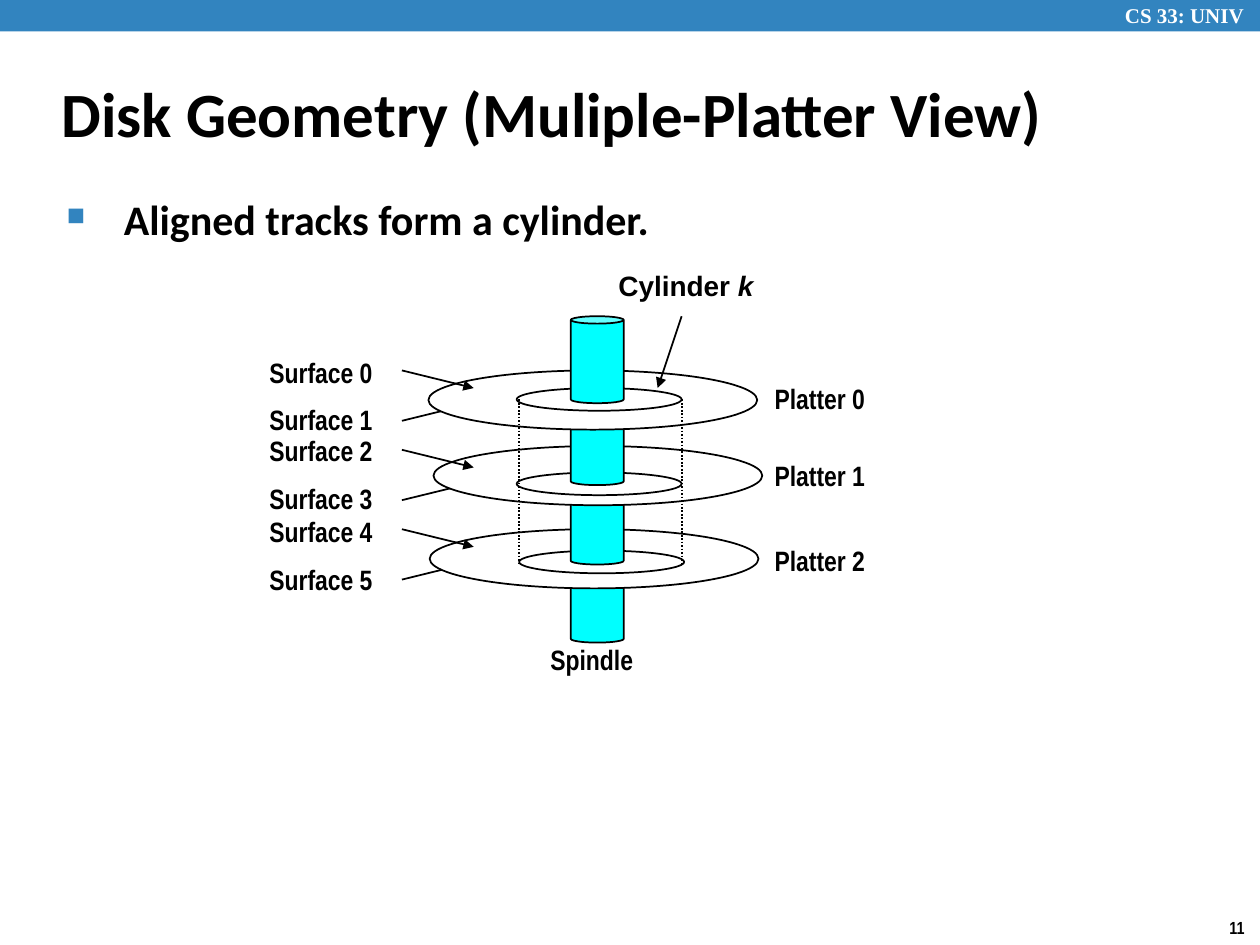
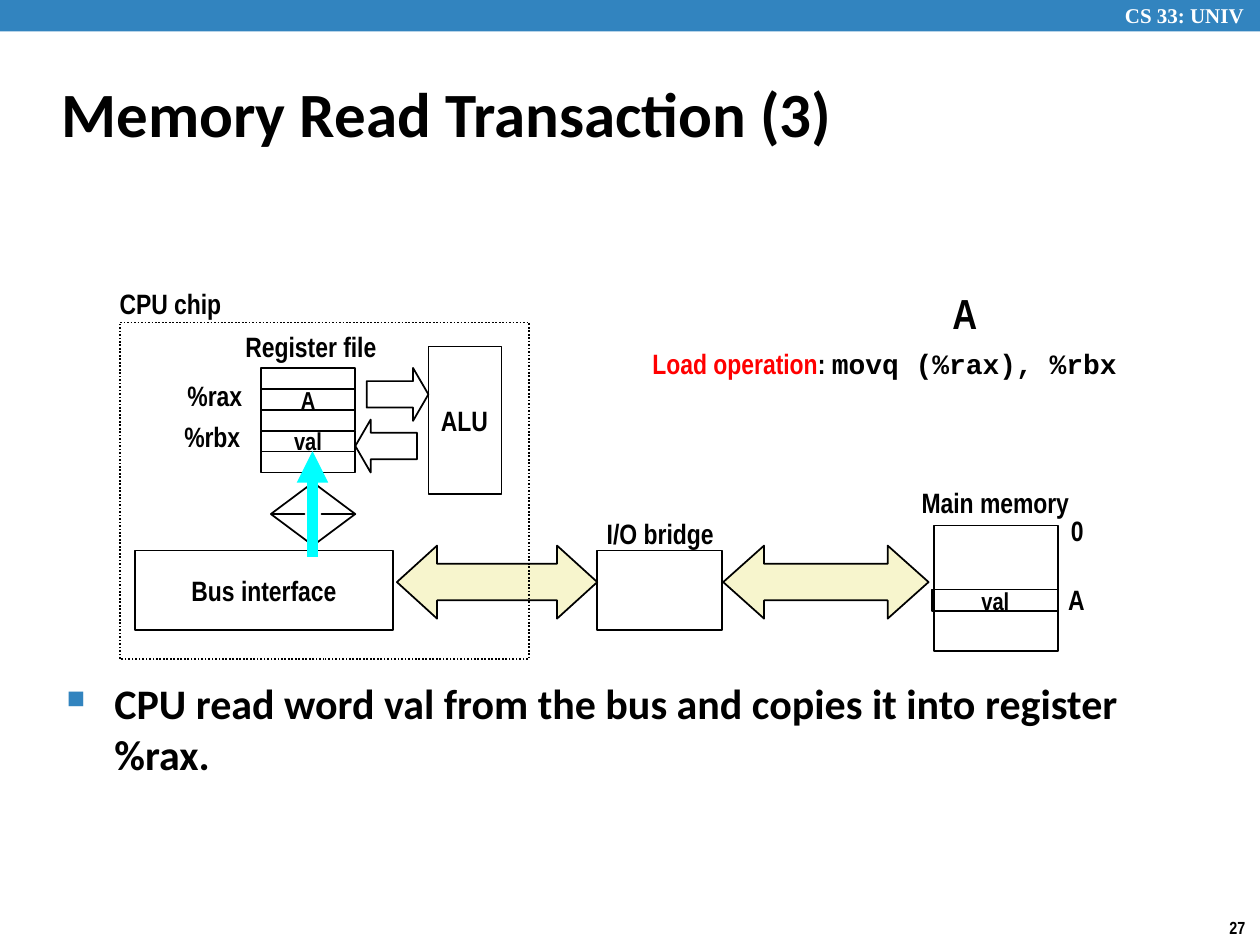
from lxml.etree import SubElement
from pptx import Presentation
from pptx.dml.color import RGBColor
from pptx.enum.dml import MSO_LINE
from pptx.enum.shapes import MSO_CONNECTOR, MSO_SHAPE
from pptx.enum.text import MSO_ANCHOR, MSO_AUTO_SIZE, PP_ALIGN
from pptx.oxml.ns import qn
from pptx.util import Inches, Pt

BLACK = RGBColor(0x00, 0x00, 0x00)
WHITE = RGBColor(0xFF, 0xFF, 0xFF)
BLUE = RGBColor(0x32, 0x84, 0xBF)
CYAN = RGBColor(0x00, 0xFF, 0xFF)
CREAM = RGBColor(0xF7, 0xF5, 0xCD)
RED = RGBColor(0xFF, 0x00, 0x00)

RECTANGLE, ELLIPSE, CAN = MSO_SHAPE.RECTANGLE, MSO_SHAPE.OVAL, MSO_SHAPE.CAN
RIGHT_ARROW, LEFT_ARROW = MSO_SHAPE.RIGHT_ARROW, MSO_SHAPE.LEFT_ARROW
BOTH_WAYS, UP_DOWN = MSO_SHAPE.LEFT_RIGHT_ARROW, MSO_SHAPE.UP_DOWN_ARROW
TOP, MIDDLE = MSO_ANCHOR.TOP, MSO_ANCHOR.MIDDLE
LEFT, CENTER = PP_ALIGN.LEFT, PP_ALIGN.CENTER
DOTTED = MSO_LINE.ROUND_DOT

presentation = Presentation()
presentation.slide_width = Inches(10)
presentation.slide_height = Inches(7.5)

# The slide is a grid of 100 columns and 75 rows.
COLUMN = presentation.slide_width // 100
ROW = presentation.slide_height // 75
LABEL_HEIGHT = 3.7


def add_item(slide, left, top, width, height, text="", kind=None, fill=None,
             outline=BLACK, dash=None, adjust=(), font="Arial Narrow", size=16,
             color=BLACK, align=LEFT, anchor=MIDDLE, wrap=False, grow=True,
             indent=0, bullet=False):
    """Add a text box, or a preset shape if kind is given.

    Text is a string or a list of (string, font changes) runs.
    """
    box = (round(left * COLUMN), round(top * ROW),
           round(width * COLUMN), round(height * ROW))
    if kind is None:
        shape = slide.shapes.add_textbox(*box)
    else:
        shape = slide.shapes.add_shape(kind, *box)
        shape.shadow.inherit = False
        for position, value in enumerate(adjust):
            shape.adjustments[position] = value
        if fill is None:
            shape.fill.background()
        else:
            shape.fill.solid()
            shape.fill.fore_color.rgb = fill
        if outline is None:
            shape.line.fill.background()
        else:
            shape.line.color.rgb = outline
            shape.line.width = Pt(1)
            shape.line.dash_style = dash
    if not text:
        return

    frame = shape.text_frame
    frame.word_wrap = wrap
    frame.vertical_anchor = anchor
    if kind is None and grow:
        frame.auto_size = MSO_AUTO_SIZE.SHAPE_TO_FIT_TEXT
    paragraph = frame.paragraphs[0]
    paragraph.alignment = align
    for words, changes in [(text, {})] if isinstance(text, str) else text:
        run = paragraph.add_run()
        run.text = words
        run.font.name = changes.get("font", font)
        run.font.size = Pt(size)
        run.font.bold = True
        run.font.italic = changes.get("italic", False)
        run.font.color.rgb = changes.get("color", color)
    if indent:
        properties = paragraph._p.get_or_add_pPr()
        properties.set("marL", str(round(indent * COLUMN)))
        properties.set("indent", str(round(-indent * COLUMN)))
        if bullet:
            paragraph.space_before = Pt(0.2 * size)
            bullet_color = SubElement(properties, qn("a:buClr"))
            SubElement(bullet_color, qn("a:srgbClr"), val=str(BLUE))
            SubElement(properties, qn("a:buSzPct"), val="60000")
            SubElement(properties, qn("a:buChar"), char="■")


def add_line(slide, start, end, color=BLACK, width=1, dash=None, arrow=True):
    connector = slide.shapes.add_connector(
        MSO_CONNECTOR.STRAIGHT,
        round(start[0] * COLUMN), round(start[1] * ROW),
        round(end[0] * COLUMN), round(end[1] * ROW))
    connector.line.color.rgb = color
    connector.line.width = Pt(width)
    connector.line.dash_style = dash
    properties = connector._element.spPr
    if arrow:
        SubElement(properties.find(qn("a:ln")), qn("a:tailEnd"), type="triangle")
    SubElement(properties, qn("a:effectLst"))


# Band, course name, slide number, title and bullet of every slide
slides = []
for number, title, bullet_text, bullet_top in [
    ("11", "Disk Geometry (Muliple-Platter View)",
     " Aligned tracks form a cylinder.", 14.9),
    ("27", "Memory Read Transaction (3)",
     "CPU read word val from the bus and copies it into register %rax.", 53.3),
]:
    slide = presentation.slides.add_slide(presentation.slide_layouts[6])
    slides.append(slide)
    add_item(slide, 0, 0, 100, 2.5, kind=RECTANGLE, fill=BLUE, outline=None)
    add_item(slide, 88.3, -0.3, 12.4, 3, "CS 33: UNIV", font="Times New Roman",
             size=12, color=WHITE, anchor=TOP, wrap=True)
    add_item(slide, 96.6, 72.3, 3.4, 2.7, number, size=10, anchor=TOP)
    add_item(slide, 3.9, 4.8, 83, 8.3, title, font="Calibri", size=36,
             wrap=True, grow=False, indent=1.3)
    add_item(slide, 4.3, bullet_top, 86.4, 69.3 - bullet_top, bullet_text,
             font="Calibri", size=24, anchor=TOP, wrap=True, grow=False,
             indent=3.8, bullet=True)
disk_slide, memory_slide = slides

# Disk: platters are stacked from the bottom up, each over a piece of spindle
SPINDLE = {"kind": CAN, "fill": CYAN, "adjust": [0.14]}
ARROW_START, ARROW_END = 31.9, 37.6
for index, platter_left, platter_top, track_left, track_top, spindle_top, \
        upper_label, lower_label, platter_label in [
            (2, 34.1, 42.0, 41.2, 43.7, 44.1, 40.3, 44.1, 42.6),
            (1, 34.4, 35.4, 41.0, 37.5, 37.9, 33.9, 37.7, 35.9),
            (0, 34.0, 29.4, 41.0, 30.8, 31.6, 27.7, 31.4, 29.8)]:
    upper_arrow = 29.4 + 6.3 * index
    lower_arrow = upper_arrow + 4
    add_item(disk_slide, 45.3, spindle_top, 4.2, 6.9, **SPINDLE)
    add_line(disk_slide, (ARROW_START, lower_arrow), (ARROW_END, lower_arrow - 1.4))
    add_item(disk_slide, platter_left, platter_top, 26.1, 4.7, kind=ELLIPSE, fill=WHITE)
    add_item(disk_slide, track_left, track_top, 13.1, 1.8, kind=ELLIPSE)
    add_line(disk_slide, (ARROW_START, upper_arrow), (ARROW_END, upper_arrow + 1.4))
    for surface, label_top in enumerate((upper_label, lower_label), 2 * index):
        add_item(disk_slide, 20.4, label_top, 10.3, LABEL_HEIGHT, f"Surface {surface}")
    add_item(disk_slide, 60.5, platter_label, 9.3, LABEL_HEIGHT, f"Platter {index}")
add_item(disk_slide, 45.3, 25.1, 4.2, 6.9, **SPINDLE)

for cylinder_side in (41.2, 54.1):
    add_line(disk_slide, (cylinder_side, 31.7), (cylinder_side, 44.8),
             dash=DOTTED, arrow=False)
add_item(disk_slide, 48.1, 20.8, 13, LABEL_HEIGHT,
         [("Cylinder ", {}), ("k", {"italic": True})], font="Arial")
add_line(disk_slide, (54.1, 25.1), (52.2, 30.8))
add_item(disk_slide, 42.7, 50.5, 8.7, LABEL_HEIGHT, "Spindle")

# Memory read: buses and bridge
add_item(memory_slide, 57.4, 43.3, 16.3, 5.8, kind=BOTH_WAYS, fill=CREAM, adjust=[0.5, 0.56])
add_item(memory_slide, 47.4, 43.7, 9.9, 6.3, kind=RECTANGLE)
add_item(memory_slide, 31.5, 43.3, 15.9, 5.8, kind=BOTH_WAYS, fill=CREAM, adjust=[0.5, 0.55])

# CPU chip
REGISTER_HEIGHT = 1.66
for index, value in enumerate(["", "A", "", "val", ""]):
    add_item(memory_slide, 20.7, 29.2 + index * REGISTER_HEIGHT, 7.5,
             REGISTER_HEIGHT, value, kind=RECTANGLE, size=14, align=CENTER)
for kind, left, top in [(RIGHT_ARROW, 29.1, 29.2), (LEFT_ARROW, 28.2, 33.3)]:
    add_item(memory_slide, left, top, 4.9, 4.2, kind=kind, adjust=[0.5, 0.29])
add_item(memory_slide, 34, 27.5, 5.8, 11.7, "ALU", kind=RECTANGLE)
add_item(memory_slide, 21.5, 38.3, 6.7, 5, kind=UP_DOWN, adjust=[0.5, 0.2])
add_item(memory_slide, 10.7, 43.7, 20.5, 6.3, "Bus interface", kind=RECTANGLE,
         fill=WHITE, align=CENTER)
add_line(memory_slide, (24.8, 44.2), (24.8, 35.8), color=CYAN, width=6)
add_item(memory_slide, 9.5, 25.6, 32.5, 26.7, kind=RECTANGLE, dash=DOTTED)

# Main memory
add_item(memory_slide, 74.1, 41.7, 9.9, 10, kind=RECTANGLE)
add_item(memory_slide, 74, 46.8, 10, 1.7, "val", kind=RECTANGLE, size=14, align=CENTER)
add_item(memory_slide, 70.8, 38, 16.4, LABEL_HEIGHT, "Main memory", align=CENTER, wrap=True)

for text, left, top, width, align in [
    ("Register file", 18.5, 25.6, 12.6, LEFT),
    ("CPU chip", 8.5, 22.2, 11.9, LEFT),
    ("%rax", 13.8, 29.5, 6.5, CENTER),
    ("%rbx", 13.6, 32.8, 6.5, CENTER),
    ("I/O bridge", 47.1, 40.5, 10.6, CENTER),
    ("0", 84, 40.2, 3.2, LEFT),
    ("A", 83.8, 45.7, 3.6, LEFT),
]:
    add_item(memory_slide, left, top, width, LABEL_HEIGHT, text, align=align)

add_item(memory_slide, 50.8, 27, 39.4, 6.4,
         [("Load operation", {"color": RED}), (": ", {}),
          ("movq (%rax), %rbx", {"font": "Courier New"})], anchor=TOP)
add_item(memory_slide, 74.6, 22.3, 4, 5, "A", size=24, anchor=TOP)

presentation.save("out.pptx")
